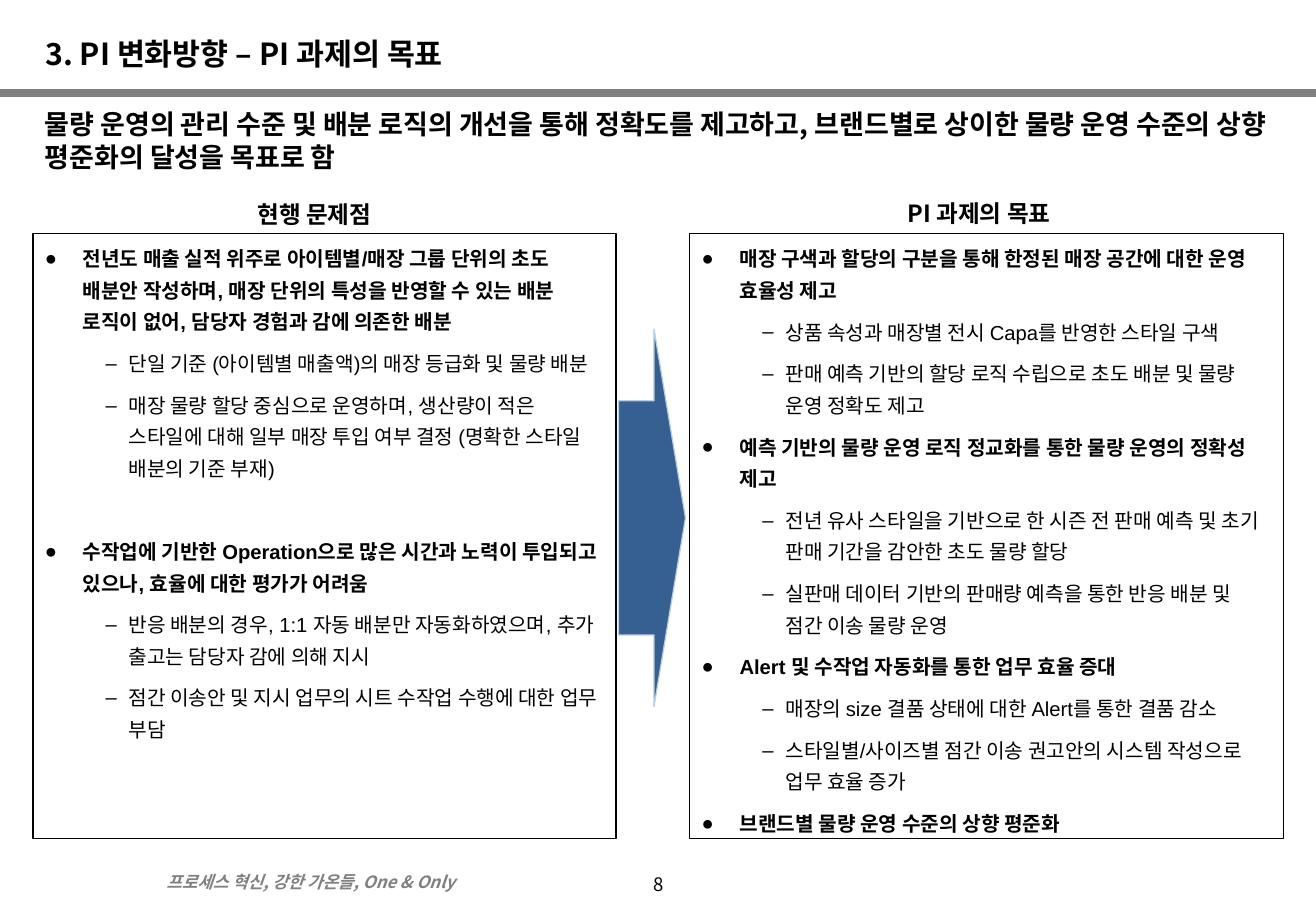
"""Build the slide on the goals of the process innovation tasks."""
from pptx import Presentation
from pptx import util as u
from pptx.dml.color import RGBColor
from pptx.enum import shapes, text
from pptx.oxml.ns import qn
from lxml import etree

KOREAN = "Noto Sans CJK KR"
LATIN = "Arial"
BLACK, GREY = "000000", "808080"
BULLETS = [("●", 0.79, -0.79), ("–", 1.75, -0.48)]

PROBLEMS = [
    (0, "전년도 매출 실적 위주로 아이템별/매장 그룹 단위의 초도 배분안 작성하며, 매장 단위의 특성을 반영할 수 있는 배분 로직이 없어, 담당자 경험과 감에 의존한 배분", 0),
    (1, "단일 기준 (아이템별 매출액)의 매장 등급화 및 물량 배분", 6),
    (1, "매장 물량 할당 중심으로 운영하며, 생산량이 적은 스타일에 대해 일부 매장 투입 여부 결정 (명확한 스타일 배분의 기준 부재)", 6),
    (0, "수작업에 기반한 Operation으로 많은 시간과 노력이 투입되고 있으나, 효율에 대한 평가가 어려움", 30.5),
    (1, "반응 배분의 경우, 1:1 자동 배분만 자동화하였으며, 추가 출고는 담당자 감에 의해 지시", 6),
    (1, "점간 이송안 및 지시 업무의 시트 수작업 수행에 대한 업무 부담", 6),
]
GOALS = [
    (0, "매장 구색과 할당의 구분을 통해 한정된 매장 공간에 대한 운영 효율성 제고", 0),
    (1, "상품 속성과 매장별 전시 Capa를 반영한 스타일 구색", 6),
    (1, "판매 예측 기반의 할당 로직 수립으로 초도 배분 및 물량 운영 정확도 제고", 6),
    (0, "예측 기반의 물량 운영 로직 정교화를 통한 물량 운영의 정확성 제고", 6),
    (1, "전년 유사 스타일을 기반으로 한 시즌 전 판매 예측 및 초기 판매 기간을 감안한 초도 물량 할당", 6),
    (1, "실판매 데이터 기반의 판매량 예측을 통한 반응 배분 및 점간 이송 물량 운영", 6),
    (0, "Alert 및 수작업 자동화를 통한 업무 효율 증대", 6),
    (1, "매장의 size 결품 상태에 대한 Alert를 통한 결품 감소", 6),
    (1, "스타일별/사이즈별 점간 이송 권고안의 시스템 작성으로 업무 효율 증가", 6),
    (0, "브랜드별 물량 운영 수준의 상향 평준화", 6),
]


def color(hex_string):
    return RGBColor.from_string(hex_string)


def lengths(*centimetres):
    return [u.Cm(value) for value in centimetres]


def set_font(paragraph, size, name=KOREAN, bold=True, italic=False, hex_string=BLACK):
    font = paragraph.font
    font.size, font.name, font.bold, font.italic = u.Pt(size), name, bold, italic
    font.color.rgb = color(hex_string)
    properties = paragraph._p.pPr.find(qn("a:defRPr"))
    properties.set("kern", "0")
    etree.SubElement(properties, qn("a:ea"), typeface=KOREAN)


def fill_text(shape, words, size, wrap=True, align=text.PP_ALIGN.LEFT,
              anchor=text.MSO_ANCHOR.TOP, **font):
    frame = shape.text_frame
    frame.word_wrap = wrap
    frame.auto_size = text.MSO_AUTO_SIZE.NONE
    frame.vertical_anchor = anchor
    frame.text = words
    paragraph = frame.paragraphs[0]
    paragraph.alignment = align
    set_font(paragraph, size, **font)


def add_title(slide, words):
    title = slide.shapes.title
    title.left, title.top, title.width, title.height = lengths(0.69, 0.61, 26.01, 1.17)
    fill_text(title, words, 18)


def add_text(slide, box, words, size, **options):
    fill_text(slide.shapes.add_textbox(*lengths(*box)), words, size, **options)


def add_bullet(paragraph, level):
    mark, margin, indent = BULLETS[level]
    paragraph.level = level
    properties = paragraph._p.get_or_add_pPr()
    properties.set("marL", str(u.Cm(margin)))
    properties.set("indent", str(u.Cm(indent)))
    bullet_color = etree.SubElement(properties, qn("a:buClr"))
    etree.SubElement(bullet_color, qn("a:srgbClr"), val=BLACK)
    etree.SubElement(properties, qn("a:buFont"), typeface=LATIN)
    etree.SubElement(properties, qn("a:buChar"), char=mark)


def add_shape(slide, kind, box, line):
    shape = slide.shapes.add_shape(kind, *lengths(*box))
    shape.shadow.inherit = False
    shape.line.color.rgb = color(line)
    shape.line.width = u.Pt(0.75)
    return shape


def add_panel(slide, left, width, items):
    panel = add_shape(slide, shapes.MSO_SHAPE.RECTANGLE, (left, 4.88, width, 12.65), BLACK)
    panel.fill.background()
    frame = panel.text_frame
    frame.word_wrap = True
    frame.vertical_anchor = text.MSO_ANCHOR.TOP
    for index, (level, words, space) in enumerate(items):
        paragraph = frame.add_paragraph() if index else frame.paragraphs[0]
        paragraph.text = words
        add_bullet(paragraph, level)
        paragraph.alignment = text.PP_ALIGN.LEFT
        paragraph.line_spacing = 1.3
        paragraph.space_before = u.Pt(space)
        set_font(paragraph, 12, name=LATIN, bold=level == 0)


def add_arrow(slide):
    arrow = add_shape(slide, shapes.MSO_SHAPE.RIGHT_ARROW, (12.93, 6.88, 1.4, 7.9), "B9CDE5")
    arrow.fill.solid()
    arrow.fill.fore_color.rgb = color("376092")
    arrow.adjustments[0] = 0.62
    arrow.adjustments[1] = 0.47


def add_rule(slide, width):
    height = u.Cm(1.94)
    rule = slide.shapes.add_connector(shapes.MSO_CONNECTOR.STRAIGHT, 0, height, width, height)
    rule.line.color.rgb = color(GREY)
    rule.line.width = u.Pt(5)
    etree.SubElement(rule._element.spPr, qn("a:effectLst"))


def main():
    presentation = Presentation()
    presentation.slide_width, presentation.slide_height = lengths(27.51, 19.05)
    slide = presentation.slides.add_slide(presentation.slide_layouts[5])
    add_rule(slide, presentation.slide_width)
    add_text(slide, (12.5, 18.11, 2.54, 0.76), "8", 11, bold=False,
             align=text.PP_ALIGN.CENTER, anchor=text.MSO_ANCHOR.MIDDLE)
    add_text(slide, (3.23, 18.11, 8.43, 0.69), "프로세스 혁신, 강한 가온들, One & Only", 10,
             italic=True, hex_string=GREY)
    add_title(slide, "3. PI 변화방향 – PI 과제의 목표")
    add_text(slide, (0.69, 2.13, 26.06, 2.11),
             "물량 운영의 관리 수준 및 배분 로직의 개선을 통해 정확도를 제고하고, "
             "브랜드별로 상이한 물량 운영 수준의 상향 평준화의 달성을 목표로 함", 16)
    add_panel(slide, 0.69, 12.19, PROBLEMS)
    add_panel(slide, 14.42, 12.42, GOALS)
    add_arrow(slide)
    add_text(slide, (5.13, 4.06, 3.18, 0.86), "현행 문제점", 14, wrap=False)
    add_text(slide, (18.72, 4.04, 3.81, 0.86), "PI 과제의 목표", 14, wrap=False)
    presentation.save("out.pptx")


if __name__ == "__main__":
    main()
